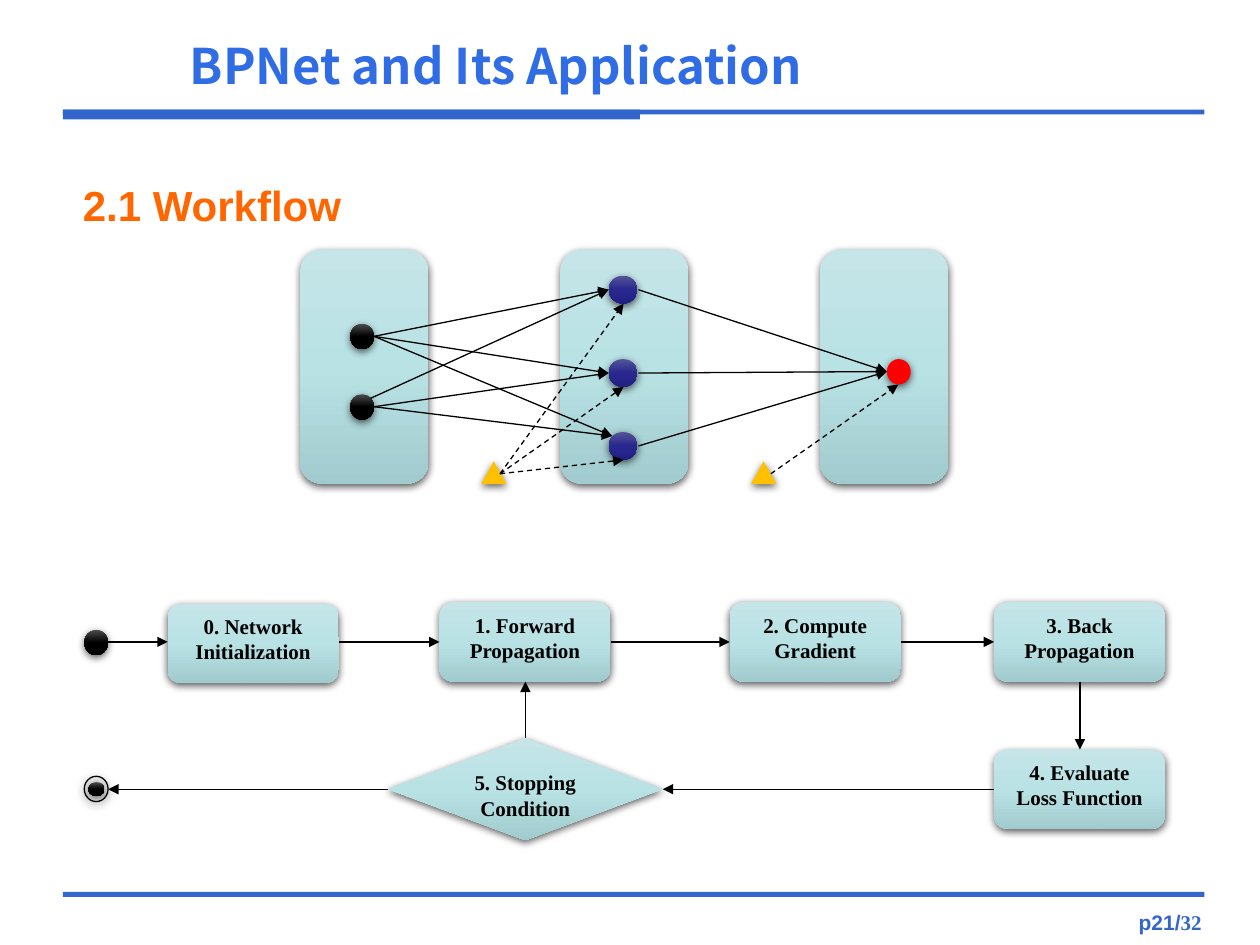
from lxml import etree
from pptx import Presentation
from pptx import util as u
from pptx.dml.color import RGBColor
from pptx.enum import dml, shapes, text
from pptx.oxml.ns import qn

COLORS = {"rule": "3366CC", "title": "306DE4", "head": "FF6600", "ink": "000000",
          "red": "FF0000", "gold": "FFC000"}
FADES = {"panel": ("C5E5E8", "B9E2E5", "A1CBCE"),
         "dot": ("4B4B4B", "000000", "000000"),
         "node": ("545498", "28288F", "202083")}
KIND = shapes.MSO_SHAPE

deck = Presentation()
deck.slide_width, deck.slide_height = u.Cm(25.4), u.Cm(19.05)
slide = deck.slides.add_slide(deck.slide_layouts[6])


def put(kind, x, y, w, h, fill=None, shade=True):
    """Add a shape; fill is a key of COLORS or FADES, or None for a bare ring."""
    shape = slide.shapes.add_shape(kind, u.Cm(x), u.Cm(y), u.Cm(w), u.Cm(h))
    props = shape._element.spPr
    if fill in FADES:
        shape.fill.gradient()
        shape.fill.gradient_angle = 270
        stops = props.find(".//" + qn("a:gsLst"))
        for old in list(stops):
            stops.remove(old)
        for i, tint in enumerate(FADES[fill]):
            stop = etree.SubElement(stops, qn("a:gs"), pos=str(i * 50000))
            etree.SubElement(stop, qn("a:srgbClr"), val=tint)
    elif fill:
        shape.fill.solid()
        shape.fill.fore_color.rgb = RGBColor.from_string(COLORS[fill])
    else:
        shape.fill.background()
    if fill:
        shape.line.fill.background()
    else:
        shape.line.color.rgb = RGBColor.from_string(COLORS["ink"])
        shape.line.width = u.Pt(0.75)
    shape.shadow.inherit = False
    if shade:
        cast = etree.SubElement(props.find(qn("a:effectLst")), qn("a:outerShdw"),
                                blurRad="57150", dist="19050", dir="5400000",
                                algn="ctr", rotWithShape="0")
        tone = etree.SubElement(cast, qn("a:srgbClr"), val=COLORS["ink"])
        etree.SubElement(tone, qn("a:alpha"), val="63000")
    return shape


def link(start, end, dash=False):
    """Draw an arrow from start to end."""
    line = slide.shapes.add_connector(
        shapes.MSO_CONNECTOR.STRAIGHT, *[u.Cm(v) for v in (*start, *end)])
    line.line.color.rgb = RGBColor.from_string(COLORS["ink"])
    line.line.width = u.Pt(0.75)
    if dash:
        line.line.dash_style = dml.MSO_LINE.DASH
    props = line._element.spPr
    etree.SubElement(props.find(qn("a:ln")), qn("a:tailEnd"), type="triangle")
    etree.SubElement(props, qn("a:effectLst"))


# Rules and headings
for y, w, h in ((17.98, 23.01, 0.1), (2.21, 23.01, 0.1), (2.21, 11.63, 0.2)):
    put(KIND.RECTANGLE, 1.27, y, w, h, "rule", shade=False)

SANS, SERIF = "Arial", "Times New Roman"
MID, LEFT = text.PP_ALIGN.CENTER, text.PP_ALIGN.LEFT
heads = (
    ((2.49, 0.61, 15.01, 1.4), MID, 28, "title", False,
     (("BPNet and Its Application", "Noto Sans CJK SC"),)),
    ((1.42, 3.33, 23.01, 1.6), LEFT, 24, "head", True, (("2.1 Workflow", SANS),)),
    ((21.89, 18.14, 3.4, 0.91), MID, 12, "rule", True, (("p21/", SANS), ("32", SERIF))),
)
for place, align, size, color, wrap, parts in heads:
    frame = slide.shapes.add_textbox(*[u.Cm(v) for v in place]).text_frame
    frame.word_wrap = wrap
    frame.vertical_anchor = text.MSO_ANCHOR.MIDDLE
    para = frame.paragraphs[0]
    para.alignment = align
    for words, face in parts:
        run = para.add_run()
        run.text = words
        run.font.name, run.font.size, run.font.bold = face, u.Pt(size), True
        run.font.color.rgb = RGBColor.from_string(COLORS[color])
        if face.startswith("Noto"):
            etree.SubElement(run._r.get_or_add_rPr(), qn("a:ea"), typeface=face)

# Network: layers, neurons and biases
for i in range(3):
    panel = put(KIND.ROUNDED_RECTANGLE, 6.05 + 5.24 * i, 5.03, 2.59, 4.72, "panel")
for y in (6.53, 7.95):
    put(KIND.OVAL, 7.06, y, 0.48, 0.51, "dot")
for y in (5.56, 7.24, 8.71):
    put(KIND.OVAL, 12.27, y, 0.58, 0.56, "node")
put(KIND.OVAL, 17.88, 7.24, 0.48, 0.51, "red")
for x in (9.7, 15.14):
    put(KIND.ISOSCELES_TRIANGLE, x, 9.3, 0.51, 0.46, "gold")

upper, lower = (7.54, 6.78), (7.54, 8.2)
top, mid, low = (12.27, 5.84), (12.27, 7.52), (12.34, 8.79)
for start, end in ((upper, top), (upper, mid), (upper, low),
                   ((7.47, 8.03), top), (lower, mid), (lower, low)):
    link(start, end)
for y in (5.84, 7.52, 8.99):
    link((12.87, y), (17.88, 7.49))
for y in (6.12, 7.8, 9.27):
    link((10.08, 9.55), (12.57, y), dash=True)
link((15.54, 9.55), (18.11, 7.75), dash=True)

# Flow chart
BOX, WIDE, HIGH = KIND.ROUNDED_RECTANGLE, 3.45, 1.6
steps = (
    (BOX, 3.38, 12.17, WIDE, HIGH, "0. Network\nInitialization"),
    (BOX, 8.86, 12.14, WIDE, HIGH, "1. Forward\nPropagation"),
    (BOX, 14.71, 12.14, WIDE, HIGH, "2. Compute\nGradient"),
    (BOX, 20.04, 12.14, WIDE, HIGH, "3. Back\nPropagation"),
    (BOX, 20.04, 15.11, WIDE, HIGH, "4. Evaluate\nLoss Function"),
    (KIND.FLOWCHART_DECISION, 7.82, 14.88, 5.54, 2.06, "5. Stopping Condition"),
)
for *place, words in steps:
    frame = put(*place, "panel").text_frame
    frame.text = words
    frame.word_wrap = True
    frame.vertical_anchor = text.MSO_ANCHOR.TOP
    for para in frame.paragraphs:
        para.alignment = MID
        font = para.runs[0].font
        font.name, font.size, font.bold = SERIF, u.Pt(12), True
        font.color.rgb = RGBColor.from_string(COLORS["ink"])

put(KIND.OVAL, 1.7, 12.7, 0.48, 0.51, "dot")
put(KIND.OVAL, 1.7, 15.65, 0.48, 0.51)
put(KIND.OVAL, 1.78, 15.77, 0.33, 0.28, "dot")

for start, end in ((2.18, 3.38), (6.83, 8.86), (12.31, 14.71), (18.16, 20.04)):
    link((start, 12.94), (end, 12.94))
for start, end in ((20.04, 13.36), (7.82, 2.18)):
    link((start, 15.91), (end, 15.91))
link((21.77, 13.74), (21.77, 15.11))
link((10.59, 14.88), (10.59, 13.74))

deck.save("out.pptx")
